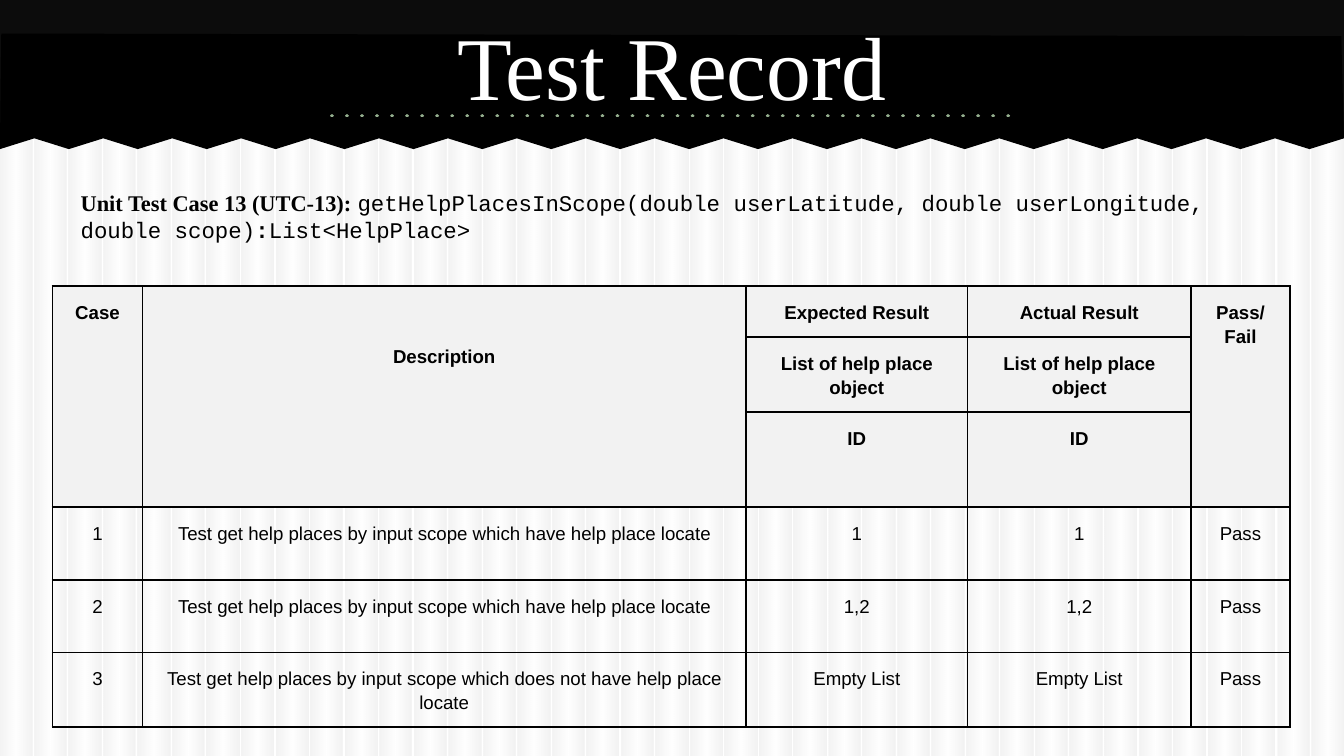
from dataclasses import dataclass

from lxml import etree
from pptx import Presentation
from pptx.dml.color import RGBColor
from pptx.enum.shapes import MSO_CONNECTOR, MSO_SHAPE
from pptx.enum.text import MSO_ANCHOR, MSO_AUTO_SIZE, PP_ALIGN
from pptx.oxml.ns import qn
from pptx.util import Inches, Pt

RECTANGLE = MSO_SHAPE.RECTANGLE
STRAIGHT = MSO_CONNECTOR.STRAIGHT
CENTER, LEFT = PP_ALIGN.CENTER, PP_ALIGN.LEFT
TOP, MIDDLE = MSO_ANCHOR.TOP, MSO_ANCHOR.MIDDLE
NO_AUTOFIT = MSO_AUTO_SIZE.NONE


@dataclass(frozen=True)
class Theme:
    black: str = "000000"
    white: str = "FFFFFF"
    band: str = "0C0C0C"
    stripe: str = "BFBFBF"
    dots: str = "94AE8E"
    header: str = "F2F2F2"
    serif: str = "Times New Roman"
    code: str = "Courier New"
    sans: str = "Arial"
    title_size: int = 48
    body_size: int = 12
    table_size: int = 10


THEME = Theme()
WIDTH = 10
HEIGHT = WIDTH * 9 / 16
STRIPES = 39

CASE_TITLE = [
    ("Unit Test Case 13 (UTC-13): ", THEME.serif, True),
    ("getHelpPlacesInScope(double userLatitude, double userLongitude, double scope)",
     THEME.code, False),
    (":", THEME.code, True),
    ("List<HelpPlace>", THEME.code, False),
]

COLUMNS = [0.67, 4.49, 1.65, 1.66, 0.74]
ROWS = [0.3, 0.45, 0.3, 0.54, 0.54, 0.54]
HEADER_ROWS = 3
MERGED_COLUMNS = (0, 1, 4)
LOCATED = "Test get help places by input scope which have help place locate"
NOT_LOCATED = "Test get help places by input scope which does not have help place locate"
RECORDS = [
    ["Case", "Description", "Expected Result", "Actual Result", "Pass/Fail"],
    ["", "", "List of help place object", "List of help place object", ""],
    ["", "", "ID", "ID", ""],
    ["1", LOCATED, "1", "1", "Pass"],
    ["2", LOCATED, "1,2", "1,2", "Pass"],
    ["3", NOT_LOCATED, "Empty List", "Empty List", "Pass"],
]


def style_span(span, font, size, color, bold=False):
    span.font.name = font
    span.font.size = Pt(size)
    span.font.bold = bold
    span.font.color.rgb = RGBColor.from_string(color)


def paint(shape, color):
    shape.shadow.inherit = False
    shape.line.fill.background()
    shape.fill.solid()
    shape.fill.fore_color.rgb = RGBColor.from_string(color)


def add_rectangle(shapes, left, top, width, height, color):
    box = shapes.add_shape(RECTANGLE, Inches(left), Inches(top), Inches(width), Inches(height))
    paint(box, color)
    return box


def fade_stripe(box):
    """Give a stripe its translucent gradient."""
    box.fill.gradient()
    box.fill.gradient_angle = 0
    stops = box.fill._fill._gradFill.find(qn("a:gsLst"))
    for stop in list(stops):
        stops.remove(stop)
    for percent, color in ((0, THEME.stripe), (50, THEME.white),
                           (97, THEME.stripe), (100, THEME.stripe)):
        stop = etree.SubElement(stops, qn("a:gs"), pos=str(percent * 1000))
        tone = etree.SubElement(stop, qn("a:srgbClr"), val=color)
        etree.SubElement(tone, qn("a:alpha"), val="19000")


def add_stripes(page):
    group = page.shapes.add_group_shape()
    pitch = 9.76 / (STRIPES - 1)
    for index in range(STRIPES):
        fade_stripe(add_rectangle(group.shapes, index * pitch, 0.01, 0.24, 5.62, THEME.stripe))


def add_torn_edge(page):
    """Black banner whose lower edge is an even zigzag."""
    step = WIDTH / STRIPES
    zigzag = [(WIDTH - index * step, 1.11 if index % 2 else 1.03)
              for index in range(STRIPES + 1)]
    outline = page.shapes.build_freeform(Inches(0.01), Inches(0.25))
    outline.add_line_segments(
        [(Inches(x), Inches(y)) for x, y in [(9.98, 0.27)] + zigzag], close=True)
    paint(outline.convert_to_shape(), THEME.black)


def add_dotted_line(page):
    line = page.shapes.add_connector(
        STRAIGHT, Inches(2.47), Inches(0.86), Inches(7.51), Inches(0.86))
    line.line.color.rgb = RGBColor.from_string(THEME.dots)
    line.line.width = Pt(2)
    stroke = line.line._get_or_add_ln()
    stroke.set("cap", "rnd")
    etree.SubElement(stroke, qn("a:prstDash"), val="dot")
    etree.SubElement(line._element.spPr, qn("a:effectLst"))


def fill_placeholder(page, holder, bounds, anchor, align, spans):
    holder.left, holder.top, holder.width, holder.height = map(Inches, bounds)
    frame = holder.text_frame
    frame.word_wrap = True
    frame.auto_size = NO_AUTOFIT
    frame.vertical_anchor = anchor
    frame.margin_left = frame.margin_right = Inches(0.1)
    frame.margin_top = frame.margin_bottom = Inches(0.1)
    para = frame.paragraphs[0]
    para.alignment = align
    para.space_before = Pt(0)
    for text, font, size, color, bold in spans:
        span = para.add_run()
        span.text = text
        style_span(span, font, size, color, bold)
    # Bring the text in front of the background
    page.shapes._spTree.append(holder._element)
    return para


def remove_bullet(para):
    settings = para._p.get_or_add_pPr()
    settings.set("marL", "0")
    settings.set("indent", "0")
    etree.SubElement(settings, qn("a:buNone"))


def add_borders(cell):
    settings = cell._tc.get_or_add_tcPr()
    for index, side in enumerate(("a:lnL", "a:lnR", "a:lnT", "a:lnB")):
        edge = etree.Element(qn(side), w=str(Pt(1)))
        fill = etree.SubElement(edge, qn("a:solidFill"))
        etree.SubElement(fill, qn("a:srgbClr"), val=THEME.black)
        settings.insert(index, edge)


def fill_cell(cell, text, is_header):
    cell.margin_left = cell.margin_right = Inches(0.08)
    cell.margin_top = cell.margin_bottom = Inches(0.1)
    cell.text_frame.text = text
    para = cell.text_frame.paragraphs[0]
    para.alignment = CENTER
    para.line_spacing = 1.15
    para.font.size = Pt(THEME.table_size)
    for span in para.runs:
        style_span(span, THEME.sans, THEME.table_size, THEME.black, is_header)
    if is_header:
        cell.fill.solid()
        cell.fill.fore_color.rgb = RGBColor.from_string(THEME.header)
    else:
        cell.fill.background()
    add_borders(cell)


def add_record_table(page):
    table = page.shapes.add_table(
        len(ROWS), len(COLUMNS), Inches(0.39), Inches(2.13),
        Inches(sum(COLUMNS)), Inches(sum(ROWS))).table
    table.first_row = table.horz_banding = False
    for column, width in zip(table.columns, COLUMNS):
        column.width = Inches(width)
    for row_index, (row, height) in enumerate(zip(table.rows, ROWS)):
        row.height = Inches(height)
        for cell, text in zip(row.cells, RECORDS[row_index]):
            fill_cell(cell, text, row_index < HEADER_ROWS)
    for column in MERGED_COLUMNS:
        table.cell(0, column).merge(table.cell(HEADER_ROWS - 1, column))
    # The description heading sits lower than its neighbours
    table.cell(0, 1).margin_top = Inches(0.43)


def main():
    deck = Presentation()
    deck.slide_width, deck.slide_height = Inches(WIDTH), Inches(HEIGHT)
    page = deck.slides.add_slide(deck.slide_layouts[1])

    # Background and banner
    add_stripes(page)
    add_rectangle(page.shapes, 0, 0, WIDTH, 1.02, THEME.band)
    add_torn_edge(page)
    add_dotted_line(page)

    # Title and test case
    title, body = page.shapes.title, page.placeholders[1]
    fill_placeholder(page, title, (0.5, 0.01, 9, 0.94), MIDDLE, CENTER,
                     [("Test Record", THEME.serif, THEME.title_size, THEME.white, False)])
    heading = fill_placeholder(page, body, (0.5, 1.31, 9, 3.97), TOP, LEFT,
                               [(text, font, THEME.body_size, THEME.black, bold)
                                for text, font, bold in CASE_TITLE])
    remove_bullet(heading)

    # Test results
    add_record_table(page)
    deck.save("out.pptx")


if __name__ == "__main__":
    main()
